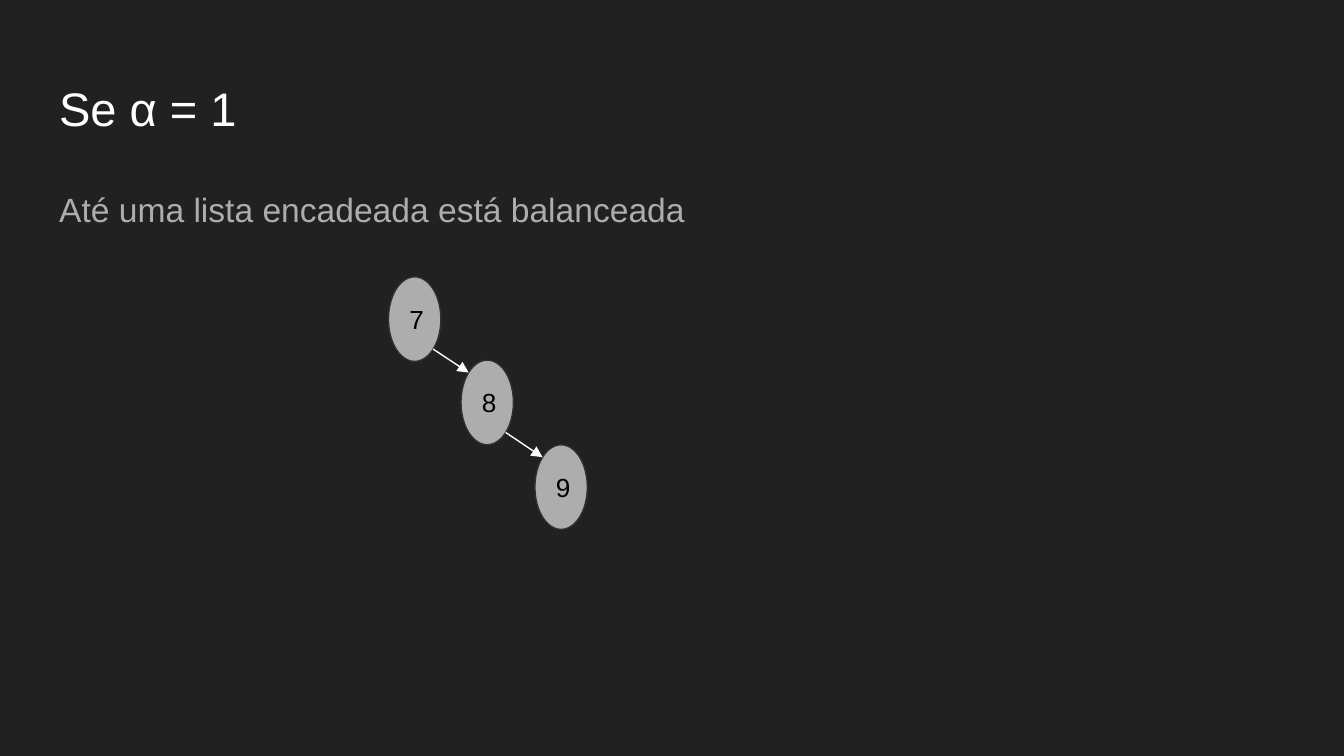
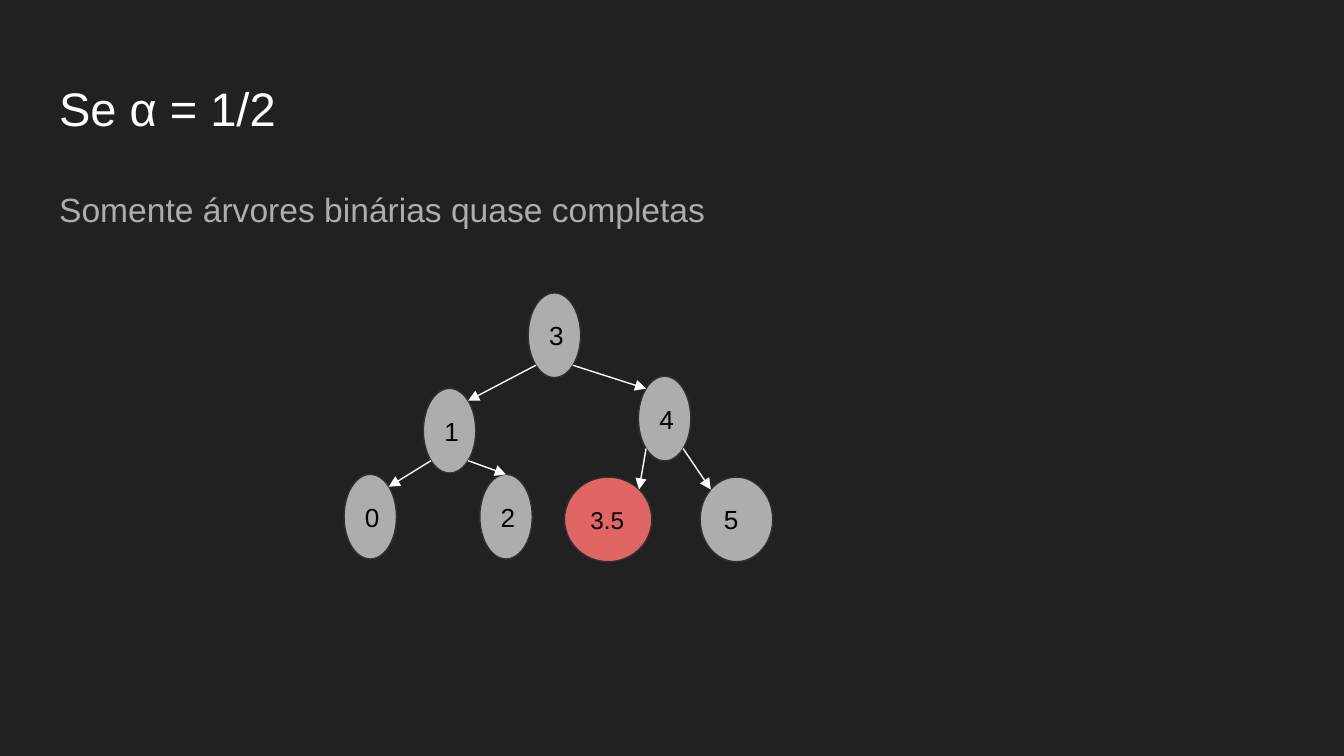
from math import copysign, sqrt

from lxml import etree
from pptx import Presentation
from pptx.dml.color import RGBColor
from pptx.enum.shapes import MSO_CONNECTOR, MSO_SHAPE
from pptx.enum.text import MSO_ANCHOR, MSO_AUTO_SIZE, PP_ALIGN
from pptx.oxml.ns import qn
from pptx.util import Inches, Pt

OVAL = MSO_SHAPE.OVAL
STRAIGHT = MSO_CONNECTOR.STRAIGHT
LEFT = PP_ALIGN.LEFT
TOP, MIDDLE = MSO_ANCHOR.TOP, MSO_ANCHOR.MIDDLE
NO_AUTOFIT = MSO_AUTO_SIZE.NONE

FONT = "Arial"
BACKGROUND = "212121"
WHITE = "FFFFFF"
GRAY = "ADADAD"
OUTLINE = "303030"
BLACK = "000000"
RED = "E06666"

NODE_WIDTH, NODE_HEIGHT = 0.39, 0.63
DIAGONAL = sqrt(0.5) / 2  # corner of an ellipse, as a share of its size

# Nodes: label -> left, top, width, fill, text size
# Edges: parent, child, side of the child that the arrow meets
SLIDES = [
    {
        "title": "Se α = 1",
        "body": "Até uma lista encadeada está balanceada",
        "nodes": {
            "7": (2.89, 2.06, NODE_WIDTH, GRAY, 14),
            "8": (3.43, 2.68, NODE_WIDTH, GRAY, 14),
            "9": (3.98, 3.31, NODE_WIDTH, GRAY, 14),
        },
        "edges": [("7", "8", "corner"), ("8", "9", "corner")],
    },
    {
        "title": "Se α = 1/2",
        "body": "Somente árvores binárias quase completas",
        "nodes": {
            "3": (3.93, 2.18, NODE_WIDTH, GRAY, 14),
            "1": (3.15, 2.89, NODE_WIDTH, GRAY, 14),
            "4": (4.75, 2.8, NODE_WIDTH, GRAY, 14),
            "0": (2.56, 3.53, NODE_WIDTH, GRAY, 14),
            "5": (5.21, 3.55, 0.54, GRAY, 14),
            "2": (3.57, 3.53, NODE_WIDTH, GRAY, 14),
            "3.5": (4.2, 3.55, 0.65, RED, 13),
        },
        "edges": [
            ("3", "1", "corner"),
            ("1", "0", "corner"),
            ("3", "4", "corner"),
            ("4", "3.5", "corner"),
            ("1", "2", "top"),
            ("4", "5", "corner"),
        ],
    },
]


def color(hex_code):
    return RGBColor.from_string(hex_code)


def write(shape, text, size, hex_code, anchor):
    """Fill a shape with one left-aligned run and return its paragraph."""
    frame = shape.text_frame
    frame.word_wrap = True
    frame.auto_size = NO_AUTOFIT
    frame.vertical_anchor = anchor
    frame.margin_left = frame.margin_right = Inches(0.1)
    frame.margin_top = frame.margin_bottom = Inches(0.1)
    paragraph = frame.paragraphs[0]
    paragraph.alignment = LEFT
    paragraph.space_before = Pt(0)
    run = paragraph.add_run()
    run.text = text
    run.font.name = FONT
    run.font.size = Pt(size)
    run.font.color.rgb = color(hex_code)
    return paragraph


presentation = Presentation()
presentation.slide_width = Inches(10)
presentation.slide_height = Inches(10 * 9 / 16)
master_fill = presentation.slide_master.background.fill
master_fill.solid()
master_fill.fore_color.rgb = color(BACKGROUND)

for content in SLIDES:
    slide = presentation.slides.add_slide(presentation.slide_layouts[1])

    title, body = slide.placeholders
    for placeholder, top, height in ((title, 0.49, 0.63), (body, 1.26, 3.74)):
        placeholder.left, placeholder.top = Inches(0.34), Inches(top)
        placeholder.width, placeholder.height = Inches(9.32), Inches(height)
    write(title, content["title"], 25.2, WHITE, TOP)
    paragraph = write(body, content["body"], 18, GRAY, TOP)
    paragraph.line_spacing = 1.15
    properties = paragraph._p.get_or_add_pPr()
    properties.set("marL", "0")
    properties.set("indent", "0")
    etree.SubElement(properties, qn("a:buNone"))

    nodes = content["nodes"]
    for label, (left, top, width, fill, size) in nodes.items():
        node = slide.shapes.add_shape(
            OVAL, Inches(left), Inches(top), Inches(width), Inches(NODE_HEIGHT)
        )
        node.shadow.inherit = False
        node.fill.solid()
        node.fill.fore_color.rgb = color(fill)
        node.line.color.rgb = color(OUTLINE)
        node.line.width = Pt(0.75)
        write(node, label, size, BLACK, MIDDLE)

    for parent, child, side in content["edges"]:
        parent_left, parent_top, parent_width = nodes[parent][:3]
        child_left, child_top, child_width = nodes[child][:3]
        start_x = parent_left + parent_width / 2
        end_x = child_left + child_width / 2
        direction = copysign(1, end_x - start_x)
        start_x += direction * parent_width * DIAGONAL
        start_y = parent_top + NODE_HEIGHT * (0.5 + DIAGONAL)
        end_y = child_top
        if side == "corner":
            end_x -= direction * child_width * DIAGONAL
            end_y += NODE_HEIGHT * (0.5 - DIAGONAL)
        arrow = slide.shapes.add_connector(
            STRAIGHT, Inches(start_x), Inches(start_y), Inches(end_x), Inches(end_y)
        )
        arrow.line.color.rgb = color(WHITE)
        arrow.line.width = Pt(0.75)
        etree.SubElement(arrow.line._get_or_add_ln(), qn("a:tailEnd"), type="triangle")
        etree.SubElement(arrow._element.spPr, qn("a:effectLst"))

presentation.save("out.pptx")
